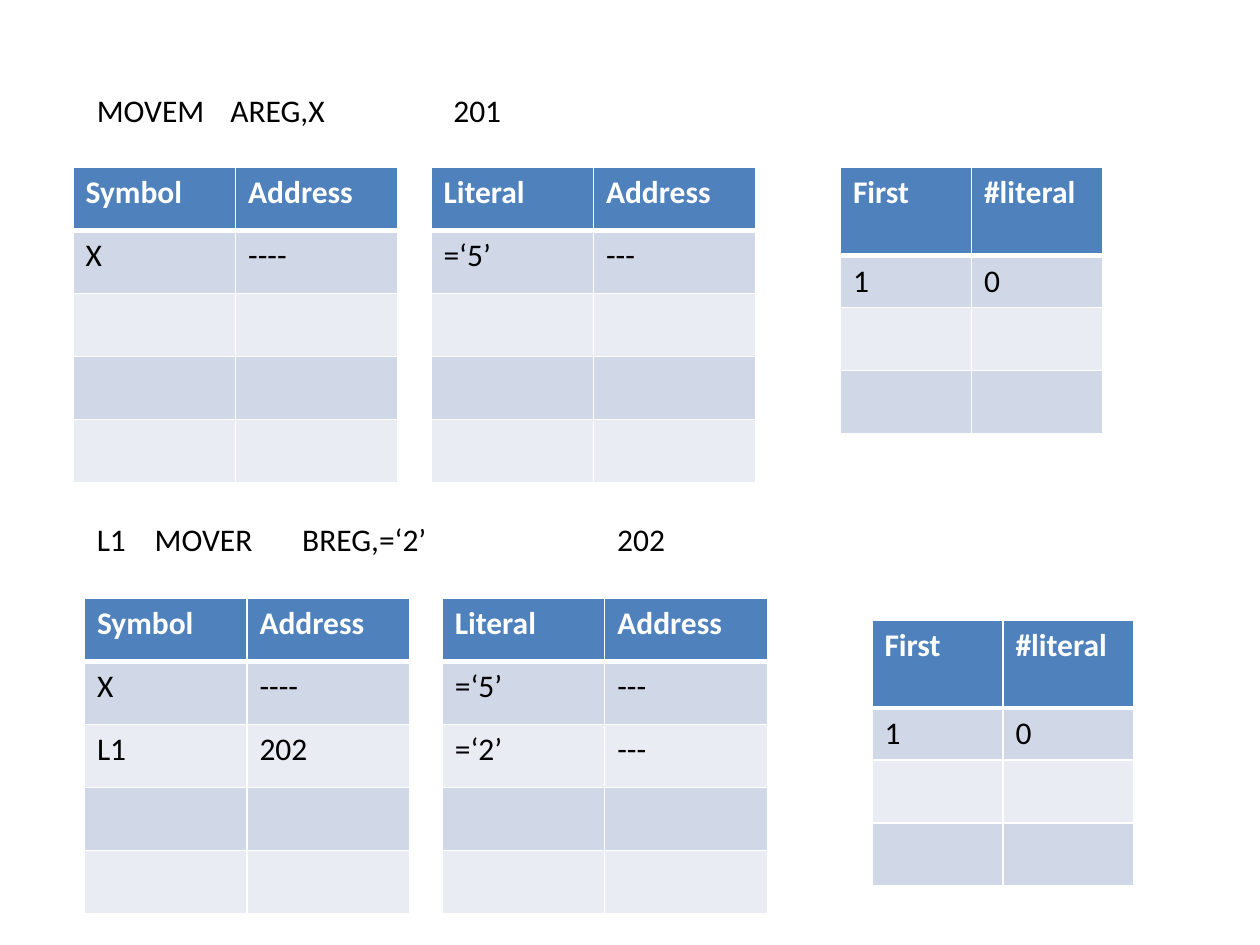
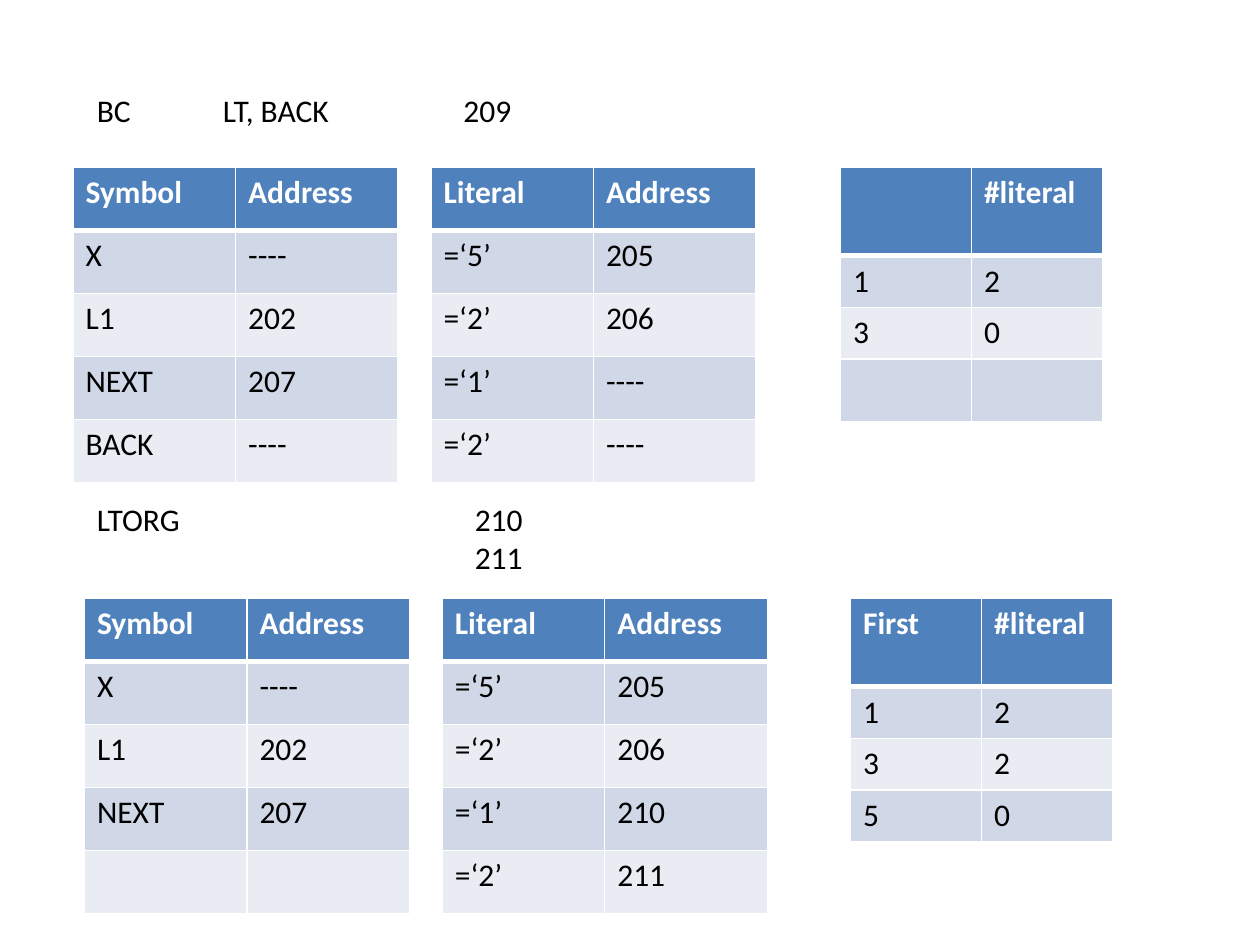
"""Build two slides that trace symbol, literal and pool tables through an assembler pass."""
from lxml import etree
from pptx import Presentation
from pptx.dml.color import RGBColor
from pptx.oxml.ns import qn
from pptx.util import Inches, Pt

FONT, SIZE = "Calibri", 18
BLACK, WHITE, HEADER = "000000", "FFFFFF", "4F81BD"
BANDS = ("D0D8E7", "E9ECF3")
THIN, THICK = 0.96, 3
TABLE_TOPS = (1.33, 4.75)
SYMBOL_LEFTS = (0.58, 0.67)
LITERAL_STEP = 2.84
COLUMN, POOL_COLUMN = 1.29, 1.04
ROW, POOL_HEADER, POOL_ROW = 0.5, 0.7, 0.41
TABLE_ROWS, POOL_ROWS = 4, 3

SYMBOL_HEAD, LITERAL_HEAD = ("Symbol", "Address"), ("Literal", "Address")
POOL_HEAD = ("First", "#literal")

SLIDES = [
    [
        {
            "statements": [
                ((0.67, 0.67, 2.17, 0.7), ["MOVEM\tAREG,X"], [1.06]),
                ((3.5, 0.67, 1.33, 0.4), ["201"], []),
            ],
            "symbols": [("X", "----")],
            "literals": [("=‘5’", "---")],
            "pool_at": (6.67, 1.33),
            "pool": [POOL_HEAD, ("1", "0")],
        },
        {
            "statements": [
                ((0.67, 4.08, 5.5, 0.7), ["L1\tMOVER\tBREG,=‘2’\t202"], [0.46, 1.63, 4.13]),
            ],
            "symbols": [("X", "----"), ("L1", "202")],
            "literals": [("=‘5’", "---"), ("=‘2’", "---")],
            "pool_at": (6.92, 4.92),
            "pool": [POOL_HEAD, ("1", "0")],
        },
    ],
    [
        {
            "statements": [
                ((0.67, 0.67, 2.83, 0.4), ["BC\tLT, BACK"], [1]),
                ((3.58, 0.67, 1.33, 0.4), ["209"], []),
            ],
            "symbols": [("X", "----"), ("L1", "202"), ("NEXT", "207"), ("BACK", "----")],
            "literals": [("=‘5’", "205"), ("=‘2’", "206"), ("=‘1’", "----"), ("=‘2’", "----")],
            "pool_at": (6.67, 1.33),
            "pool": [("", "#literal"), ("1", "2"), ("3", "0")],
        },
        {
            "statements": [
                ((0.67, 3.92, 5.5, 0.7), ["LTORG\t210", "\t211"], [3]),
            ],
            "symbols": [("X", "----"), ("L1", "202"), ("NEXT", "207")],
            "literals": [("=‘5’", "205"), ("=‘2’", "206"), ("=‘1’", "210"), ("=‘2’", "211")],
            "pool_at": (6.75, 4.75),
            "pool": [POOL_HEAD, ("1", "2"), ("3", "2"), ("5", "0")],
        },
    ],
]


def color(value):
    return RGBColor.from_string(value)


def write(para, words, ink=BLACK, bold=False):
    para.font.size = Pt(SIZE)
    if words:
        span = para.add_run()
        span.text = words
        span.font.name, span.font.size, span.font.bold = FONT, Pt(SIZE), bold
        span.font.color.rgb = color(ink)


def add_tabs(para, stops):
    if stops:
        tabs = etree.SubElement(para._p.get_or_add_pPr(), qn("a:tabLst"))
        for stop in stops:
            etree.SubElement(tabs, qn("a:tab"), pos=str(Inches(stop)), algn="l")


def add_statement(page, place, lines, stops):
    frame = page.shapes.add_textbox(*map(Inches, place)).text_frame
    frame.word_wrap = True
    for index, line in enumerate(lines):
        para = frame.paragraphs[0] if index == 0 else frame.add_paragraph()
        add_tabs(para, stops)
        write(para, line)


def add_borders(cell, row):
    widths = {"L": THIN, "R": THIN, "T": THICK if row == 1 else THIN, "B": THICK if row == 0 else THIN}
    for side, width in widths.items():
        line = etree.SubElement(cell._tc.get_or_add_tcPr(), qn(f"a:ln{side}"), w=str(Pt(width)))
        fill = etree.SubElement(line, qn("a:solidFill"))
        etree.SubElement(fill, qn("a:srgbClr"), val=WHITE)


def add_grid(page, left, top, column, rows, heights):
    place = map(Inches, (left, top, 2 * column, sum(heights)))
    grid = page.shapes.add_table(len(rows), 2, *place).table
    for part in grid.columns:
        part.width = Inches(column)
    for index, (words, height) in enumerate(zip(rows, heights)):
        grid.rows[index].height = Inches(height)
        for cell, word in zip(grid.rows[index].cells, words):
            add_borders(cell, index)
            cell.fill.solid()
            cell.fill.fore_color.rgb = color(BANDS[(index - 1) % 2] if index else HEADER)
            write(cell.text_frame.paragraphs[0], word, BLACK if index else WHITE, index == 0)


def padded(rows, count):
    return rows + [("", "")] * (count + 1 - len(rows))


def add_step(page, step, top, left):
    for statement in step["statements"]:
        add_statement(page, *statement)
    tables = [[SYMBOL_HEAD, *step["symbols"]], [LITERAL_HEAD, *step["literals"]]]
    for index, rows in enumerate(tables):
        add_grid(page, left + index * LITERAL_STEP, top, COLUMN,
                 padded(rows, TABLE_ROWS), [ROW] * (TABLE_ROWS + 1))
    pool = padded(step["pool"], POOL_ROWS)
    heights = [POOL_HEADER] + [POOL_ROW if any(row) else ROW for row in pool[1:]]
    add_grid(page, *step["pool_at"], POOL_COLUMN, pool, heights)


def main():
    deck = Presentation()
    deck.slide_width, deck.slide_height = Inches(10), Inches(7.5)
    for steps in SLIDES:
        page = deck.slides.add_slide(deck.slide_layouts[6])
        for step, top, left in zip(steps, TABLE_TOPS, SYMBOL_LEFTS):
            add_step(page, step, top, left)
    deck.save("out.pptx")


if __name__ == "__main__":
    main()
